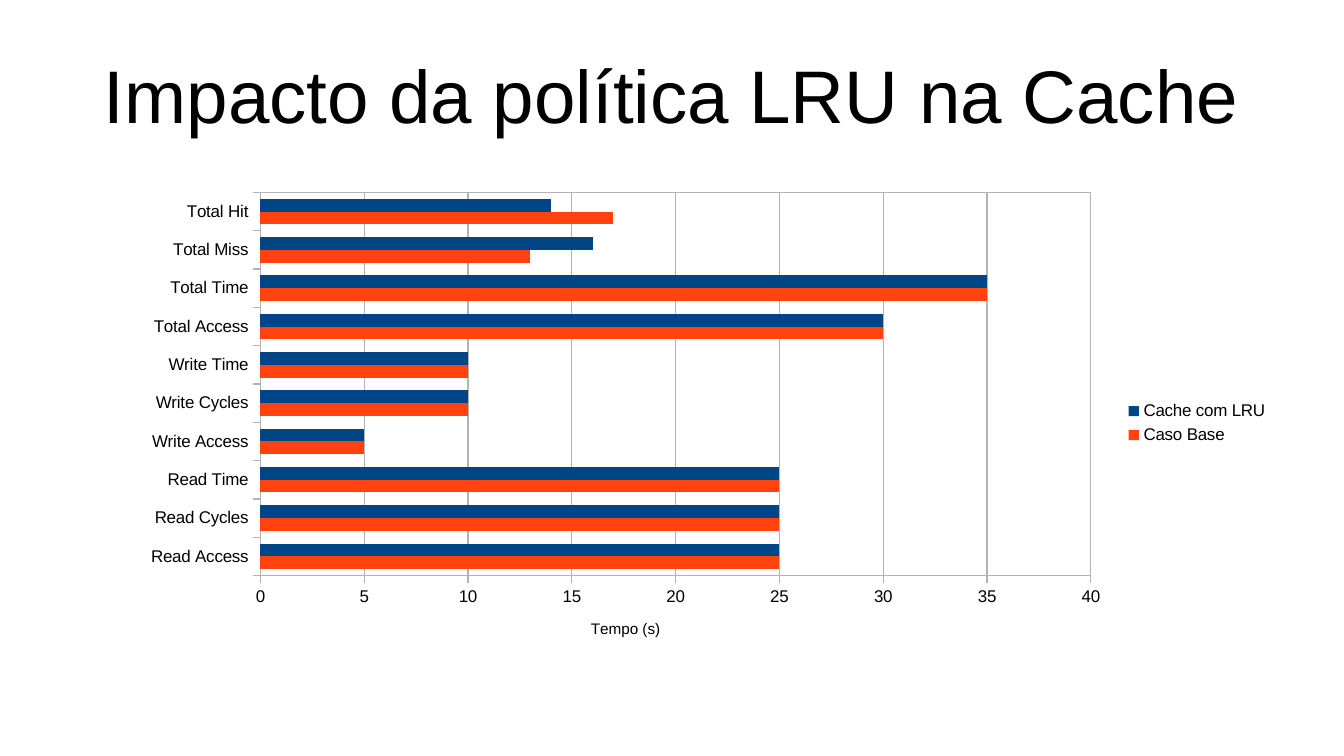
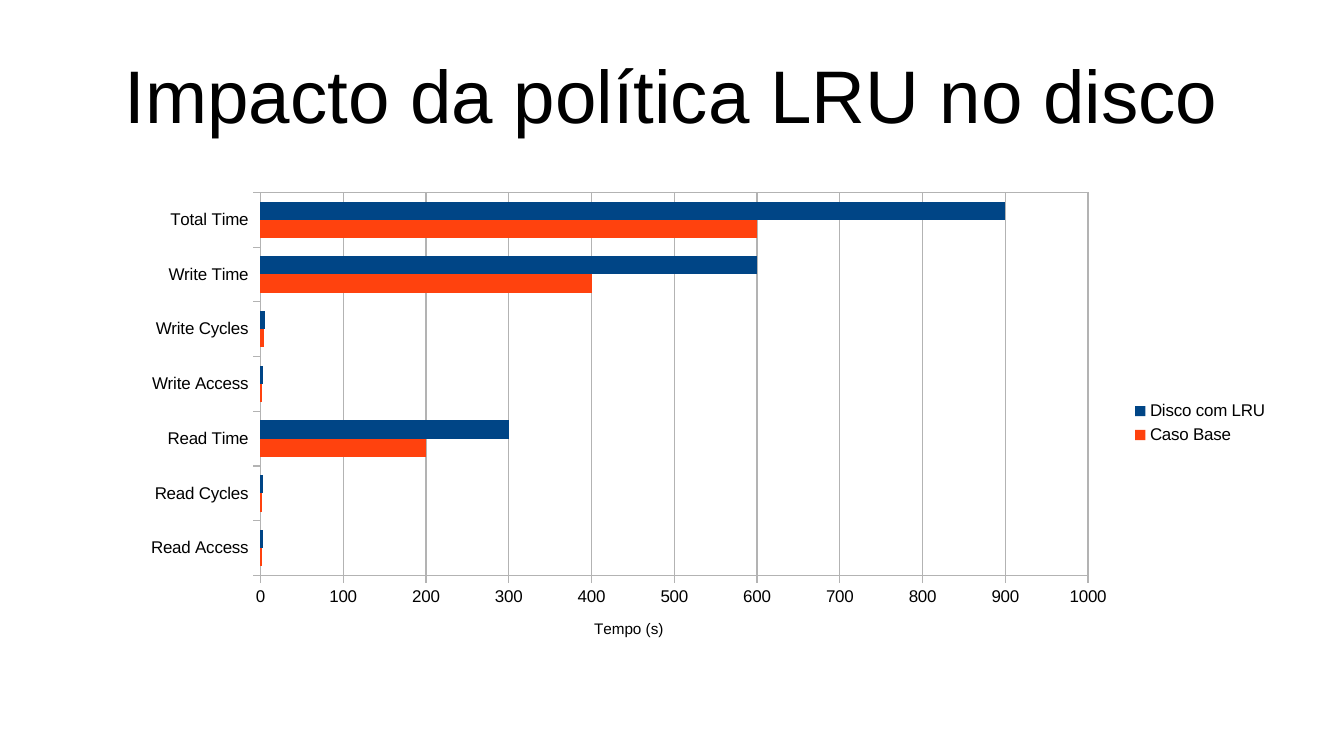
from dataclasses import dataclass

from lxml import etree
from pptx import Presentation
from pptx.chart.data import CategoryChartData
from pptx.dml.color import RGBColor
from pptx.enum.chart import XL_CHART_TYPE as ChartType
from pptx.enum.chart import XL_LEGEND_POSITION as LegendPosition
from pptx.enum.chart import XL_TICK_MARK as TickMark
from pptx.enum.text import MSO_ANCHOR as Anchor
from pptx.enum.text import PP_ALIGN as Align
from pptx.oxml import parse_xml
from pptx.oxml.ns import nsdecls
from pptx.util import Inches, Pt


@dataclass(frozen=True)
class Theme:
    font: str = "Arial"
    text: str = "000000"
    background: str = "FFFFFF"
    grid: str = "B3B3B3"
    series: tuple = ("FF420E", "004586")
    title_size: int = 44
    label_size: int = 10
    axis_title_size: int = 9


THEME = Theme()
SLIDE_SIZE = (11.02, 6.2)
TITLE_BOX = (0.55, 0.25, 9.92, 1.04)
CHART_BOX = (1.05, 1.5, 9.45, 3.94)

# Content: categories and values run from the bottom of the chart upwards
AXIS_TITLE = "Tempo (s)"
SLIDES = [
    {
        "title": "Impacto da política LRU na Cache",
        "categories": ["Read Access", "Read Cycles", "Read Time", "Write Access",
                       "Write Cycles", "Write Time", "Total Access", "Total Time",
                       "Total Miss", "Total Hit"],
        "series": {
            "Caso Base": [25, 25, 25, 5, 10, 10, 30, 35, 13, 17],
            "Cache com LRU": [25, 25, 25, 5, 10, 10, 30, 35, 16, 14],
        },
        "scale": {"minimum_scale": 0, "maximum_scale": 40, "major_unit": 5},
    },
    {
        "title": "Impacto da política LRU no disco",
        "categories": ["Read Access", "Read Cycles", "Read Time", "Write Access",
                       "Write Cycles", "Write Time", "Total Time"],
        "series": {
            "Caso Base": [2, 2, 200, 2, 4, 400, 600],
            "Disco com LRU": [3, 3, 300, 3, 6, 600, 900],
        },
        "scale": {"minimum_scale": 0, "maximum_scale": 1000, "major_unit": 100},
    },
]


# Formatting helpers
def set_all(target, values):
    for name, value in values.items():
        setattr(target, name, value)


def style_font(font, size):
    set_all(font, {"name": THEME.font, "size": Pt(size), "bold": False})
    font.color.rgb = RGBColor.from_string(THEME.text)


def style_line(line):
    line.color.rgb = RGBColor.from_string(THEME.grid)
    line.width = Pt(0)


def frame_plot_area(chart):
    chart_space = chart.font._element.getroottree().getroot()
    plot_area = chart_space.find(".//{*}plotArea")
    plot_area.append(parse_xml(
        f'<c:spPr {nsdecls("c", "a")}><a:noFill/><a:ln w="0"><a:solidFill>'
        f'<a:srgbClr val="{THEME.grid}"/></a:solidFill></a:ln></c:spPr>'))


# Slide parts
def add_title(slide, text):
    frame = slide.shapes.add_textbox(*map(Inches, TITLE_BOX)).text_frame
    set_all(frame, {"word_wrap": True, "vertical_anchor": Anchor.MIDDLE,
                    "margin_left": 0, "margin_right": 0,
                    "margin_top": 0, "margin_bottom": 0})
    paragraph = frame.paragraphs[0]
    paragraph.text = text
    paragraph.alignment = Align.CENTER
    style_font(paragraph.runs[0].font, THEME.title_size)


def add_bar_chart(slide, content):
    data = CategoryChartData()
    data.categories = content["categories"]
    for name, values in content["series"].items():
        data.add_series(name, values)
    chart = slide.shapes.add_chart(
        ChartType.BAR_CLUSTERED, *map(Inches, CHART_BOX), data).chart
    set_all(chart, {"has_title": False, "has_legend": True})
    style_font(chart.font, THEME.label_size)

    # Bars
    plot = chart.plots[0]
    set_all(plot, {"gap_width": 100, "overlap": 0, "vary_by_categories": False})
    for series, color in zip(plot.series, THEME.series):
        series.invert_if_negative = False
        series.format.fill.solid()
        series.format.fill.fore_color.rgb = RGBColor.from_string(color)
        series.format.line.fill.background()

    # Axes and grid
    for axis in (chart.category_axis, chart.value_axis):
        set_all(axis, {"major_tick_mark": TickMark.OUTSIDE,
                       "minor_tick_mark": TickMark.NONE})
        style_font(axis.tick_labels.font, THEME.label_size)
        style_line(axis.format.line)
    value_axis = chart.value_axis
    set_all(value_axis, {"has_major_gridlines": True, **content["scale"]})
    style_line(value_axis.major_gridlines.format.line)
    axis_title = value_axis.axis_title.text_frame
    axis_title.text = AXIS_TITLE
    style_font(axis_title.paragraphs[0].runs[0].font, THEME.axis_title_size)
    frame_plot_area(chart)

    # Legend
    set_all(chart.legend, {"position": LegendPosition.RIGHT,
                           "include_in_layout": False})
    style_font(chart.legend.font, THEME.label_size)


def main():
    presentation = Presentation()
    presentation.slide_width, presentation.slide_height = map(Inches, SLIDE_SIZE)
    background = presentation.slide_master.background.fill
    background.solid()
    background.fore_color.rgb = RGBColor.from_string(THEME.background)
    blank_layout = presentation.slide_layouts[6]
    for content in SLIDES:
        slide = presentation.slides.add_slide(blank_layout)
        add_title(slide, content["title"])
        add_bar_chart(slide, content)
    presentation.save("out.pptx")


if __name__ == "__main__":
    main()
